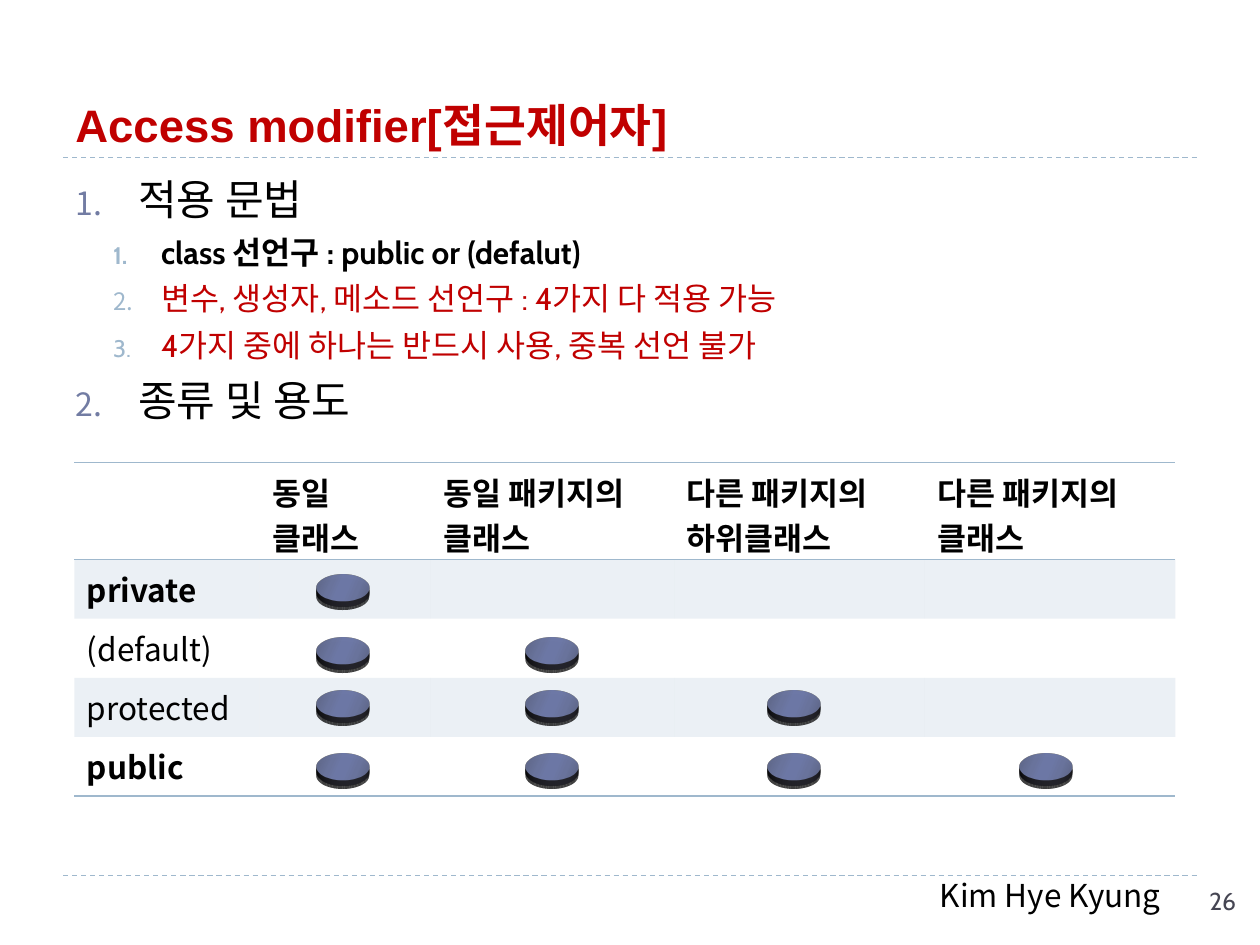
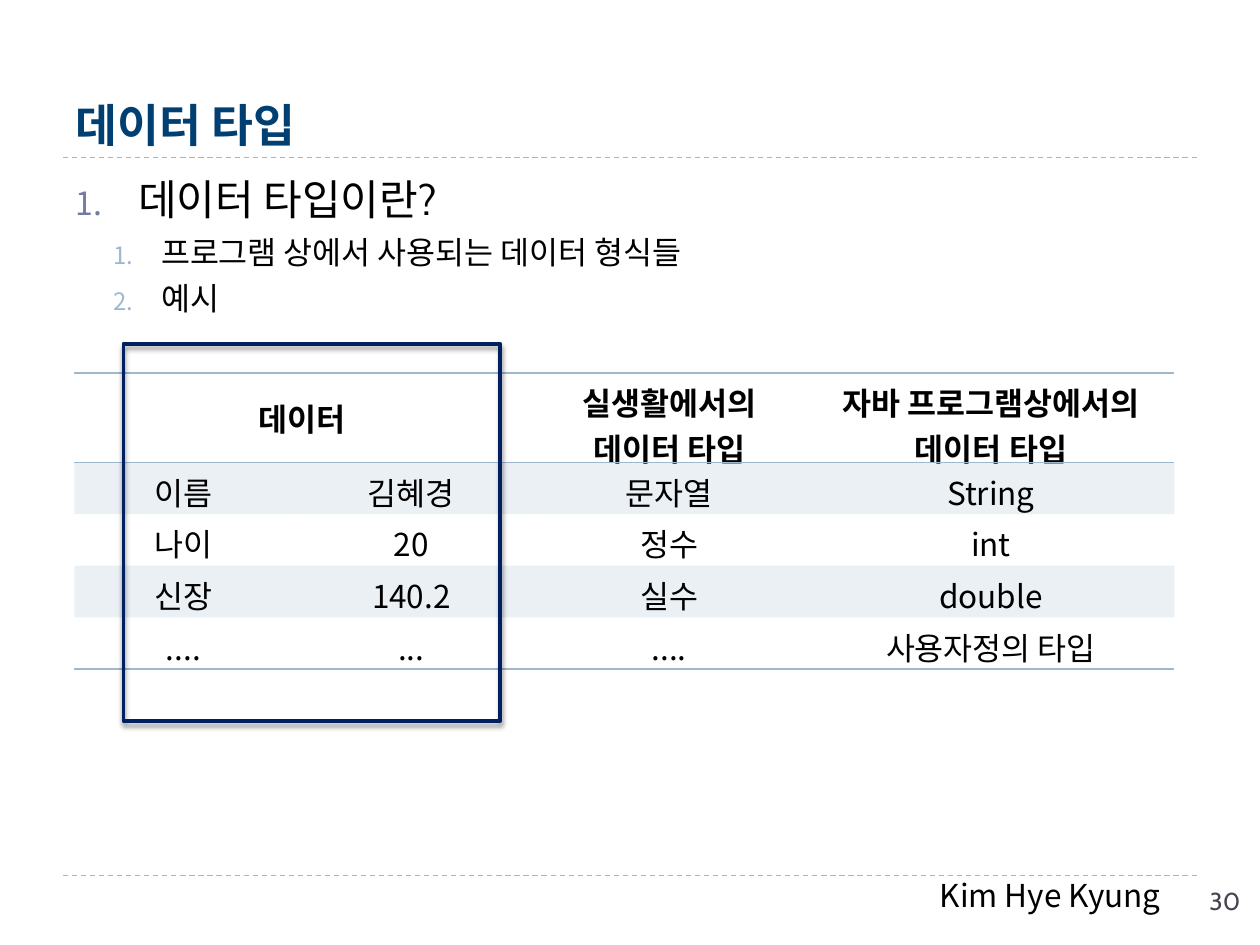
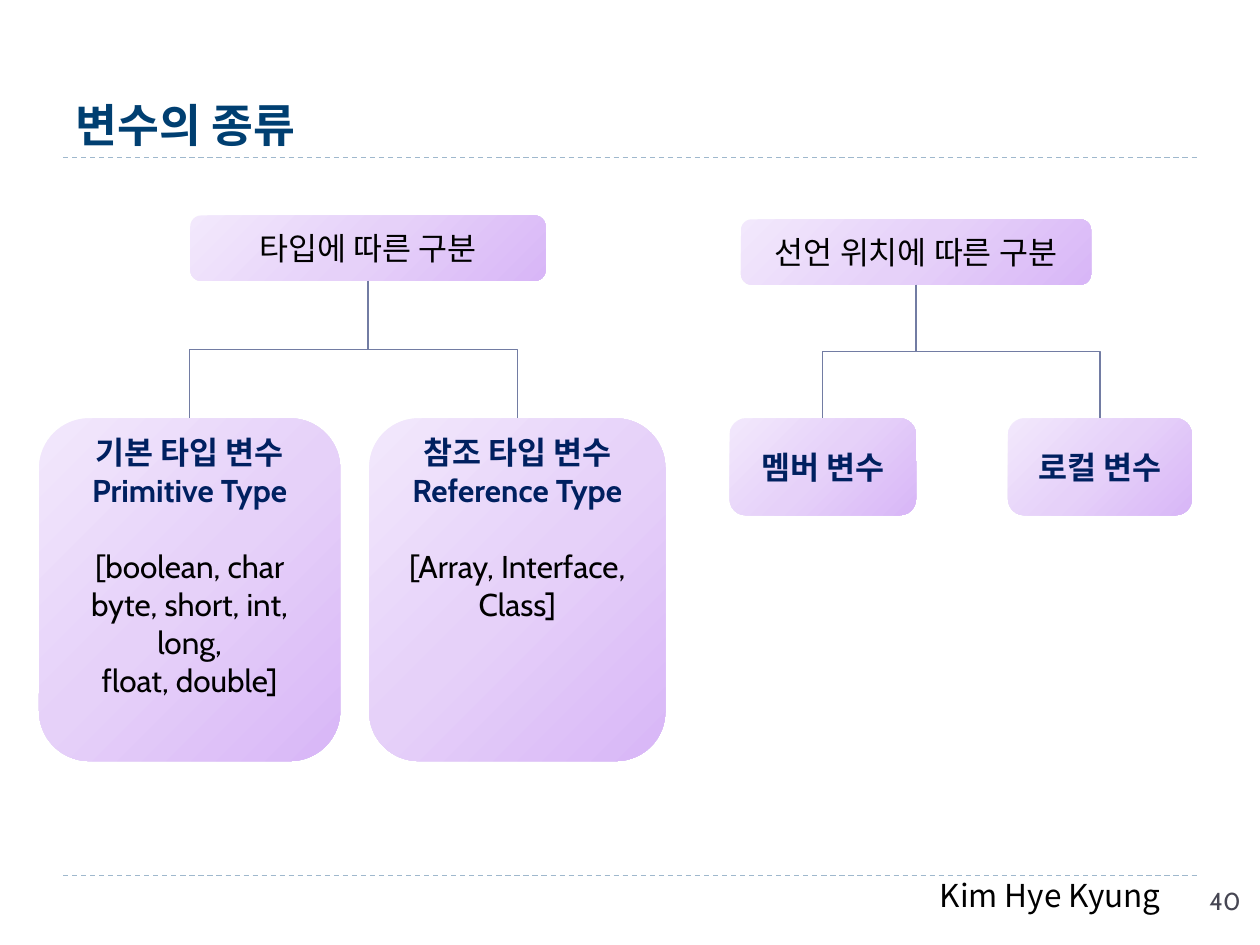
from dataclasses import dataclass

from lxml import etree
from pptx import Presentation
from pptx.dml.color import RGBColor
from pptx.enum.dml import MSO_LINE
from pptx.enum.shapes import MSO_CONNECTOR, MSO_SHAPE
from pptx.enum.text import MSO_ANCHOR, PP_ALIGN
from pptx.oxml import parse_xml
from pptx.oxml.ns import qn
from pptx.util import Inches, Pt

DASH = MSO_LINE.DASH
STRAIGHT, ELBOW = MSO_CONNECTOR.STRAIGHT, MSO_CONNECTOR.ELBOW
RECT, ROUND, OVAL = MSO_SHAPE.RECTANGLE, MSO_SHAPE.ROUNDED_RECTANGLE, MSO_SHAPE.OVAL
TOP, MIDDLE, BOTTOM = MSO_ANCHOR.TOP, MSO_ANCHOR.MIDDLE, MSO_ANCHOR.BOTTOM
LEFT, CENTER = PP_ALIGN.LEFT, PP_ALIGN.CENTER
NS = 'xmlns:a="http://schemas.openxmlformats.org/drawingml/2006/main"'
PLAIN_TABLE = "{2D5ABB26-0587-4C30-8999-92F81FD0307C}"


@dataclass(frozen=True)
class Theme:
    black: str = "000000"
    red: str = "C00000"
    blue: str = "003F71"
    navy: str = "002060"
    gray: str = "464653"
    slate: str = "727CA3"
    sky: str = "9FB8CD"
    head: str = "Arial"
    body: str = "Cabin"
    korean: str = "Noto Sans CJK KR"
    title: int = 26
    large: int = 24
    text: int = 18
    small: int = 14
    lilac: tuple = ((0, "D8B6F7"), (50, "E6D1F9"), (100, "F2E8FC"))
    steel: tuple = ((0, "5D6585"), (30, "6B759E"), (45, "6E79A7"),
                    (55, "6E79A7"), (73, "6B759E"), (100, "5D6585"))


T = Theme()
CORNER = ('<a:path path="circle"><a:fillToRect l="100000" t="100000" r="0" b="0"/>'
          '</a:path>')
SLANT = '<a:lin ang="960000" scaled="0"/>'


# Basic helpers
def apply(item, values):
    for name, value in values.items():
        setattr(item, name, value)


def node(tag, inner="", **attrs):
    pairs = "".join(f' {k}="{v}"' for k, v in attrs.items())
    return parse_xml(f"<a:{tag} {NS}{pairs}>{inner}</a:{tag}>")


def rgb(color):
    return f'<a:srgbClr val="{color}"/>'


def write(para, text, size=T.text, color=T.black, bold=False, face=T.body):
    run = para.add_run()
    run.text = text
    apply(run.font, {"size": Pt(size), "bold": bold, "name": face})
    run.font.color.rgb = RGBColor.from_string(color)
    latin = run.font._element.find(qn("a:latin"))
    latin.addnext(node("ea", typeface=T.korean))


def lines(frame, texts, align=LEFT, **style):
    for i, text in enumerate(texts):
        para = frame.add_paragraph() if i else frame.paragraphs[0]
        para.alignment = align
        write(para, text, **style)


def label(slide, box, text, anchor=TOP, **style):
    frame = slide.shapes.add_textbox(*map(Inches, box)).text_frame
    apply(frame, {"word_wrap": True, "vertical_anchor": anchor})
    if text:
        lines(frame, [text], **style)
    return frame


def stroke(line, color, width):
    line.color.rgb = RGBColor.from_string(color)
    line.width = Pt(width)


def link(slide, kind, color, start=(0, 0), end=(0, 0)):
    wire = slide.shapes.add_connector(kind, *map(Inches, start + end))
    stroke(wire.line, color, 0.75)
    wire._element.spPr.append(node("effectLst"))
    return wire


# Shapes
def shape(slide, kind, box):
    item = slide.shapes.add_shape(kind, *map(Inches, box))
    item.shadow.inherit = False
    item.fill.background()
    item.line.fill.background()
    return item


def grad(item, stops, path):
    steps = "".join(f'<a:gs pos="{pos * 1000}">{rgb(color)}</a:gs>'
                    for pos, color in stops)
    props = item._element.spPr
    fill = node("gradFill", f"<a:gsLst>{steps}</a:gsLst>{path}", rotWithShape=1)
    props.replace(props.find(qn("a:noFill")), fill)


def shade(item, alpha, blur):
    color = f'<a:srgbClr val="{T.black}"><a:alpha val="{alpha * 1000}"/></a:srgbClr>'
    drop = node("outerShdw", color, blurRad=Pt(blur), dist=Pt(2),
                dir=5400000, rotWithShape=0)
    item._element.spPr.find(qn("a:effectLst")).append(drop)


def disc(slide, x, y):
    item = shape(slide, OVAL, (x, y, 0.42, 0.33))
    grad(item, T.steel, SLANT)
    shade(item, 50, 4)
    view = ('<a:camera prst="perspectiveRelaxed"/>'
            '<a:lightRig rig="threePt" dir="t"/>')
    props = item._element.spPr
    props.append(node("scene3d", view))
    props.append(node("sp3d", f"<a:extrusionClr>{rgb(T.gray)}</a:extrusionClr>",
                      extrusionH=Pt(4)))


def card(slide, box, heads, color=T.navy, bold=True, notes=()):
    item = shape(slide, ROUND, box)
    grad(item, T.lilac, CORNER)
    frame = item.text_frame
    apply(frame, {"word_wrap": True, "vertical_anchor": MIDDLE})
    lines(frame, heads, CENTER, color=color, bold=bold)
    if notes:
        apply(frame, {"vertical_anchor": TOP, "margin_top": 0})
    for i, note in enumerate(notes):
        para = frame.add_paragraph()
        apply(para, {"alignment": CENTER, "space_before": Pt(0 if i else 22)})
        write(para, note)
    return item


def branch(slide, root, leaf):
    wire = link(slide, ELBOW, T.slate)
    wire.begin_connect(root, 2)
    wire.end_connect(leaf, 0)
    x1, y1 = root.left + root.width // 2, root.top + root.height
    x2, y2 = leaf.left + leaf.width // 2, leaf.top
    wide, high = abs(x2 - x1), y2 - y1
    apply(wire, {"left": (x1 + x2 - high) // 2, "top": (y1 + y2 - wide) // 2,
                 "width": high, "height": wide})
    right = x2 > x1
    turn = {"rot": 270 * 60000 if right else 90 * 60000,
            "flipH": int(right), "flipV": 0}
    for name, value in turn.items():
        wire._element.spPr.find(qn("a:xfrm")).set(name, str(value))


# Numbered list
def outline(slide, items):
    frame = label(slide, (0.5, 1.33, 9, 5.4), "")
    levels = ((0.5, -0.5, 6, T.slate, T.large), (0.68, -0.38, 5, T.sky, T.text))
    for i, (level, text, style) in enumerate(items):
        margin, indent, gap, tint, size = levels[level]
        para = frame.add_paragraph() if i else frame.paragraphs[0]
        apply(para, {"level": level, "space_before": Pt(gap)})
        props = para._p.get_or_add_pPr()
        props.set("marL", str(Inches(margin)))
        props.set("indent", str(Inches(indent)))
        for part in (node("buClr", rgb(tint)), node("buSzPct", val=76000),
                     node("buFont", typeface=T.body),
                     node("buAutoNum", type="arabicPeriod")):
            props.append(part)
        write(para, text, size, **style)


# Table
def edge(cell, sides):
    props = cell._tc.get_or_add_tcPr()
    for i, side in enumerate(sides):
        props.insert(i, node(side, f"<a:solidFill>{rgb(T.sky)}</a:solidFill>",
                             w=Pt(1)))


def tint(cell, band):
    if not band:
        cell.fill.background()
        return
    cell.fill.solid()
    cell.fill.fore_color.rgb = RGBColor.from_string(T.sky)
    color = cell._tc.tcPr.find(".//" + qn("a:srgbClr"))
    etree.SubElement(color, qn("a:alpha")).set("val", "20000")


def grid(slide, spot, cols, rows, data, strong=(), align=LEFT, anchor=TOP):
    size = (sum(cols), sum(rows))
    table = slide.shapes.add_table(len(rows), len(cols),
                                   *map(Inches, spot + size)).table
    apply(table, {"first_row": False, "horz_banding": False})
    table._tbl.tblPr.find(qn("a:tableStyleId")).text = PLAIN_TABLE
    for col, width in zip(table.columns, cols):
        col.width = Inches(width)
    last = len(rows) - 1
    for r, height in enumerate(rows):
        table.rows[r].height = Inches(height)
        for c in range(len(cols)):
            cell = table.cell(r, c)
            tint(cell, r % 2)
            edge(cell, ("lnT", "lnB") if r == 0 else ("lnB",) if r == last else ())
            cell.vertical_anchor = TOP if r and c == 0 else anchor
            text = data[r][c] if c < len(data[r]) else ""
            if text:
                lines(cell.text_frame, text.split("\n"), align, face=T.korean,
                      bold=r == 0 or text in strong)
    return table


# Shared frame of every slide
def page(deck, title, number, color=T.blue):
    slide = deck.slides.add_slide(deck.slide_layouts[6])
    for y in (6.95, 1.25):
        link(slide, STRAIGHT, T.sky, (0.5, y), (9.5, y)).line.dash_style = DASH
    label(slide, (7.36, 6.9, 2.1, 0.4), "Kim Hye Kyung", face=T.korean)
    label(slide, (0.5, 0.17, 9, 1.08), title, BOTTOM,
          size=T.title, color=color, bold=True, face=T.head)
    label(slide, (9.5, 6.98, 0.5, 0.4), number, size=T.small, color=T.gray)
    return slide


# Slides
def access(deck):
    slide = page(deck, "Access modifier[접근제어자]", "26", T.red)
    alert = {"color": T.red}
    outline(slide, [
        (0, "적용 문법", {}),
        (1, "class 선언구 : public or (defalut)", {"bold": True}),
        (1, "변수, 생성자, 메소드 선언구 : 4가지 다 적용 가능", alert),
        (1, "4가지 중에 하나는 반드시 사용, 중복 선언 불가", alert),
        (0, "종류 및 용도", {}),
    ])
    heads = ["", "동일\n클래스", "동일 패키지의 클래스",
             "다른 패키지의\n하위클래스", "다른 패키지의\n클래스"]
    names = ["private", "(default)", "protected", "public"]
    grid(slide, (0.59, 3.67), (1.47, 1.36, 1.93, 1.99, 1.99),
         (0.77,) + (0.47,) * 4, [heads] + [[name] for name in names],
         strong=("private", "public"))
    for i, y in enumerate((4.5, 5, 5.42, 5.92)):
        for x in (2.51, 4.17, 6.09, 8.09)[:i + 1]:
            disc(slide, x, y)


def types(deck):
    slide = page(deck, "데이터 타입", "30")
    outline(slide, [
        (0, "데이터 타입이란?", {}),
        (1, "프로그램 상에서 사용되는 데이터 형식들", {}),
        (1, "예시", {}),
    ])
    data = [
        ["데이터", "", "실생활에서의\n데이터 타입", "자바 프로그램상에서의 데이터 타입"],
        ["이름", "김혜경", "문자열", "String"],
        ["나이", "20", "정수", "int"],
        ["신장", "140.2", "실수", "double"],
        ["....", "...", "....", "사용자정의 타입"],
    ]
    table = grid(slide, (0.59, 2.96), (1.73, 1.89, 2.2, 2.91),
                 (0.71,) + (0.41,) * 4, data, align=CENTER, anchor=MIDDLE)
    table.cell(0, 0).merge(table.cell(0, 1))
    focus = shape(slide, RECT, (0.98, 2.73, 2.99, 2.99))
    stroke(focus.line, T.navy, 2.25)
    shade(focus, 40, 3)


def kinds(deck):
    slide = page(deck, "변수의 종류", "40")
    plain = {"color": T.black, "bold": False}
    by_type = card(slide, (1.51, 1.71, 2.82, 0.52), ["타입에 따른 구분"], **plain)
    by_place = card(slide, (5.88, 1.74, 2.78, 0.52), ["선언 위치에 따른 구분"], **plain)
    basic = card(slide, (0.31, 3.32, 2.39, 2.72), ["기본 타입 변수", "Primitive Type"],
                 notes=["[boolean, char", "byte, short, int, long,", "float, double]"])
    refer = card(slide, (2.93, 3.32, 2.35, 2.72), ["참조 타입 변수", "Reference Type"],
                 notes=["[Array, Interface, Class]"])
    member = card(slide, (5.79, 3.32, 1.48, 0.77), ["멤버 변수"])
    local = card(slide, (8, 3.32, 1.46, 0.77), ["로컬 변수"])
    for root, leaf in ((by_type, basic), (by_type, refer),
                       (by_place, member), (by_place, local)):
        branch(slide, root, leaf)


def main():
    deck = Presentation()
    apply(deck, {"slide_width": Inches(10), "slide_height": Inches(7.5)})
    for build in (access, types, kinds):
        build(deck)
    deck.save("out.pptx")


if __name__ == "__main__":
    main()
